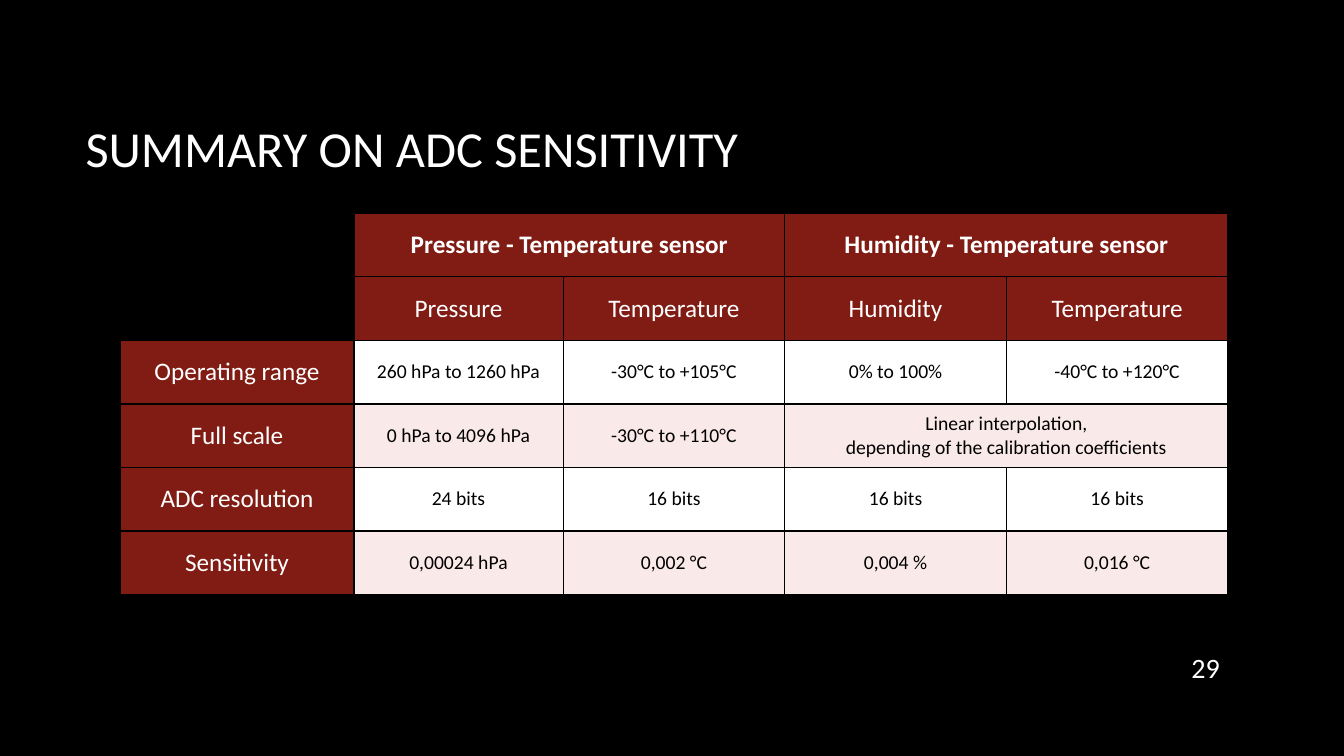
from typing import NamedTuple

from lxml.etree import SubElement
from pptx import Presentation
from pptx.dml.color import RGBColor
from pptx.enum.text import MSO_ANCHOR as Anchor, PP_ALIGN as Align
from pptx.oxml.ns import qn
from pptx.util import Pt

BLACK = RGBColor(0x00, 0x00, 0x00)
WHITE = RGBColor(0xFF, 0xFF, 0xFF)
DARK_RED = RGBColor(0x80, 0x1C, 0x14)
PALE_RED = RGBColor(0xFA, 0xE9, 0xE9)


class TextStyle(NamedTuple):
    size: float
    color: RGBColor
    align: Align = Align.CENTER
    bold: bool = False


class Label(NamedTuple):
    text: str
    left: float
    top: float
    width: float
    height: float
    style: TextStyle


GROUP = TextStyle(18, WHITE, bold=True)
HEADING = TextStyle(18, WHITE)
VALUE = TextStyle(14, BLACK)

LABELS = [
    Label("SUMMARY ON ADC SENSITIVITY", 54, 48.2, 797.8, 114.5,
          TextStyle(36, WHITE, Align.LEFT)),
    Label("29", 835.2, 462.2, 43.2, 29.5, TextStyle(20, WHITE, Align.RIGHT)),
]

# None marks a cell covered by the one to its left
ROWS = [
    ["", "Pressure - Temperature sensor", None, "Humidity - Temperature sensor", None],
    ["", "Pressure", "Temperature", "Humidity", "Temperature"],
    ["Operating range", "260 hPa to 1260 hPa", "-30°C to +105°C", "0% to 100%",
     "-40°C to +120°C"],
    ["Full scale", "0 hPa to 4096 hPa", "-30°C to +110°C",
     "Linear interpolation,\ndepending of the calibration coefficients", None],
    ["ADC resolution", "24 bits", "16 bits", "16 bits", "16 bits"],
    ["Sensitivity", "0,00024 hPa", "0,002 °C", "0,004 %", "0,016 °C"],
]
HEADER_ROWS = 2
COLUMN_WIDTHS = [167, 149.5, 158.3, 158.3, 158.3]
ROW_HEIGHT = 45.4
TABLE_LEFT, TABLE_TOP = 85.8, 152.4


def write_text(frame, text: str, style: TextStyle) -> None:
    paragraph = frame.paragraphs[0]
    paragraph.text = text
    paragraph.alignment = style.align
    font_format = {"name": "Calibri", "size": Pt(style.size), "bold": style.bold}
    for run in paragraph.runs:
        for attribute, value in font_format.items():
            setattr(run.font, attribute, value)
        run.font.color.rgb = style.color
    # Line breaks take the size of the text around them
    for line_break in paragraph._p.findall(qn("a:br")):
        SubElement(line_break, qn("a:rPr"), sz=str(style.size * 100))


def add_label(slide, label: Label) -> None:
    shape = slide.shapes.add_textbox(Pt(label.left), Pt(label.top),
                                     Pt(label.width), Pt(label.height))
    frame = shape.text_frame
    frame.word_wrap = True
    frame.vertical_anchor = Anchor.MIDDLE
    write_text(frame, label.text, label.style)


def add_borders(cell) -> None:
    properties = cell._tc.get_or_add_tcPr()
    for side in ("a:lnL", "a:lnR", "a:lnT", "a:lnB"):
        line = SubElement(properties, qn(side), w=str(Pt(1)))
        fill = SubElement(line, qn("a:solidFill"))
        SubElement(fill, qn("a:srgbClr"), val=str(BLACK))


def cell_look(row: int, column: int) -> tuple[TextStyle, RGBColor]:
    if row == 0:
        return GROUP, DARK_RED
    if row < HEADER_ROWS or column == 0:
        return HEADING, DARK_RED
    return VALUE, PALE_RED if row % 2 else WHITE


def add_sensor_table(slide) -> None:
    frame = slide.shapes.add_table(
        len(ROWS), len(COLUMN_WIDTHS), Pt(TABLE_LEFT), Pt(TABLE_TOP),
        Pt(sum(COLUMN_WIDTHS)), Pt(ROW_HEIGHT * len(ROWS)))
    table = frame.table
    table.first_row = table.horz_banding = False
    for column, width in zip(table.columns, COLUMN_WIDTHS):
        column.width = Pt(width)
    for row_index, texts in enumerate(ROWS):
        table.rows[row_index].height = Pt(ROW_HEIGHT)
        for column_index, text in enumerate(texts):
            cell = table.cell(row_index, column_index)
            style, color = cell_look(row_index, column_index)
            add_borders(cell)
            cell.vertical_anchor = Anchor.MIDDLE
            if text == "":
                cell.fill.background()
                continue
            cell.fill.solid()
            cell.fill.fore_color.rgb = color
            if text is None:
                table.cell(row_index, column_index - 1).merge(cell)
            else:
                write_text(cell.text_frame, text, style)


def main() -> None:
    presentation = Presentation()
    presentation.slide_width, presentation.slide_height = Pt(960), Pt(540)
    slide = presentation.slides.add_slide(presentation.slide_layouts[6])
    slide.background.fill.solid()
    slide.background.fill.fore_color.rgb = BLACK

    # Title and page number
    for label in LABELS:
        add_label(slide, label)

    # Sensor comparison
    add_sensor_table(slide)
    presentation.save("out.pptx")


if __name__ == "__main__":
    main()
